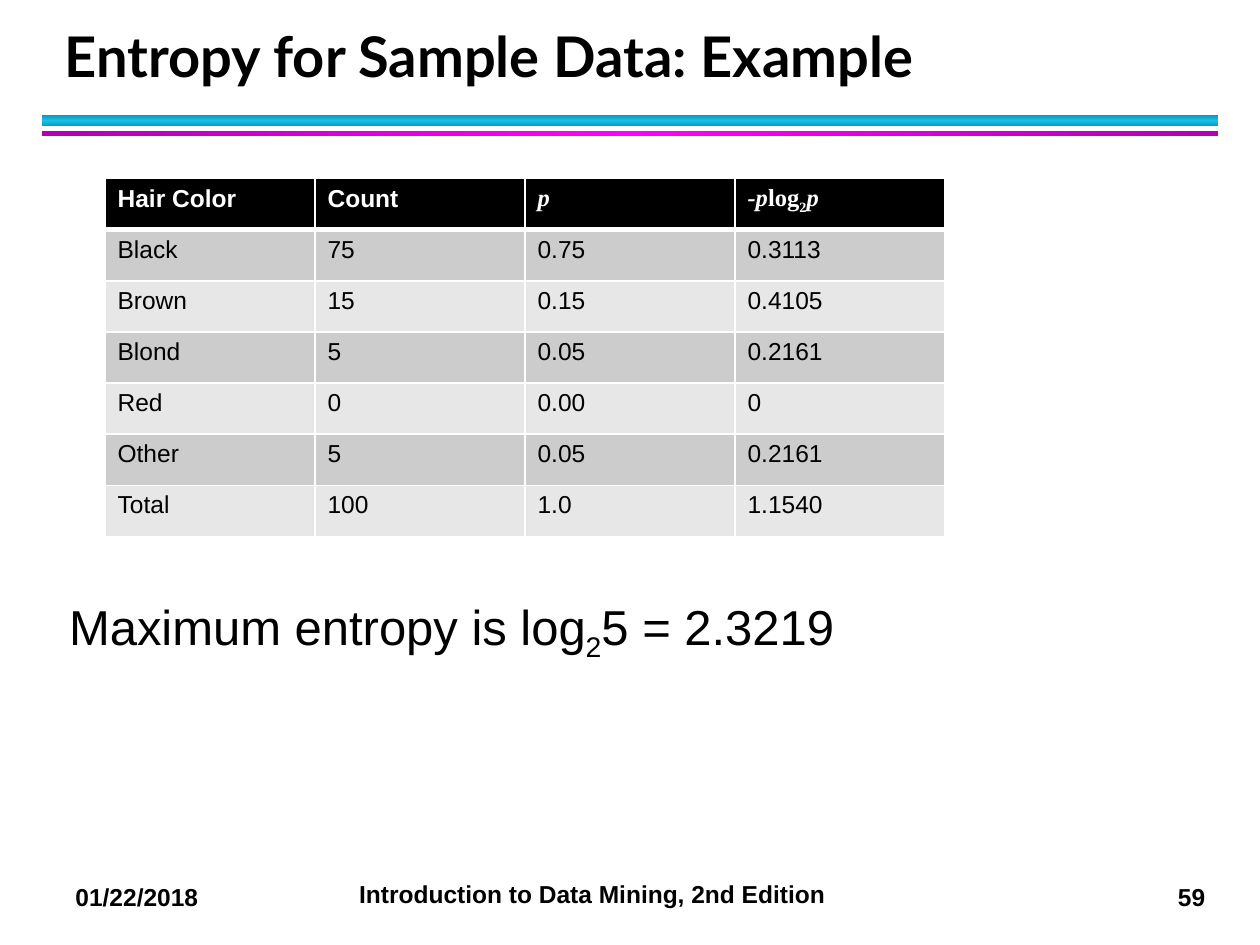
from copy import deepcopy
from lxml.etree import SubElement
from pptx import Presentation
from pptx.dml.color import RGBColor
from pptx.enum.shapes import MSO_SHAPE
from pptx.enum.text import MSO_ANCHOR
from pptx.oxml.ns import qn
from pptx.util import Inches, Pt

GRID_COLUMNS = 120
GRID_ROWS = 90
SLIDE_WIDTH = Inches(10)
SLIDE_HEIGHT = Inches(7.5)

BLACK = RGBColor(0x00, 0x00, 0x00)
WHITE = RGBColor(0xFF, 0xFF, 0xFF)
DARK_BAND = RGBColor(0xCC, 0xCC, 0xCC)
LIGHT_BAND = RGBColor(0xE7, 0xE7, 0xE7)
TEAL = RGBColor(0x0E, 0x9B, 0xBA)
CYAN = RGBColor(0x12, 0xC2, 0xE9)
PURPLE = RGBColor(0xB2, 0x00, 0xB2)
MAGENTA = RGBColor(0xFF, 0x00, 0xFF)

HEADINGS = [
    [("Hair Color", "")],
    [("Count", "")],
    [("p", "i")],
    [("-p", "i"), ("log", ""), ("2", "sub"), ("p", "i")],
]
HAIR_COUNTS = [
    ("Black", "75", "0.75", "0.3113"),
    ("Brown", "15", "0.15", "0.4105"),
    ("Blond", "5", "0.05", "0.2161"),
    ("Red", "0", "0.00", "0"),
    ("Other", "5", "0.05", "0.2161"),
    ("Total", "100", "1.0", "1.1540"),
]
MAXIMUM_ENTROPY = [("Maximum entropy is log", ""), ("2", "sub"), ("5 = 2.3219", "")]


def grid_box(column, row, columns, rows):
    cell_width = SLIDE_WIDTH / GRID_COLUMNS
    cell_height = SLIDE_HEIGHT / GRID_ROWS
    return (int(column * cell_width), int(row * cell_height),
            int(columns * cell_width), int(rows * cell_height))


def write(paragraph, pieces, size, color=BLACK, bold=False, name="Arial"):
    font = paragraph.font
    font.size, font.bold, font.name = Pt(size), bold, name
    font.color.rgb = color
    for words, style in pieces:
        run = paragraph.add_run()
        run.text = words
        if style == "i":
            run.font.italic = True
        elif style == "sub":
            run._r.get_or_add_rPr().set("baseline", "-25000")


def add_words(slide, box, pieces, size, wrap=True, **style):
    frame = slide.shapes.add_textbox(*box).text_frame
    frame.word_wrap = wrap
    write(frame.paragraphs[0], pieces, size, **style)
    return frame


def add_title(slide, box):
    frame = add_words(slide, box, [("Entropy for Sample Data: Example", "")], 32,
                      bold=True, name="Lato")
    frame.vertical_anchor = MSO_ANCHOR.BOTTOM
    frame.paragraphs[0].line_spacing = Pt(36)


def add_rule(slide, box, edge, middle, angle):
    rule = slide.shapes.add_shape(MSO_SHAPE.RECTANGLE, *box)
    rule.shadow.inherit = False
    rule.line.fill.background()
    rule.fill.gradient()
    rule.fill.gradient_angle = angle
    stop_list = rule._element.spPr.find(".//" + qn("a:gsLst"))
    stop_list.insert(1, deepcopy(stop_list[0]))
    for stop, position, color in zip(rule.fill.gradient_stops, (0, 0.5, 1),
                                     (edge, middle, edge)):
        stop.position = position
        stop.color.rgb = color


def add_rules(slide, box):
    left, top, width, height = box
    add_rule(slide, (left, top, width, height // 2), TEAL, CYAN, 90)
    add_rule(slide, (left, top + height * 3 // 4, width, height // 4),
             PURPLE, MAGENTA, 0)


def set_borders(cell, bottom_width):
    properties = cell._tc.get_or_add_tcPr()
    for side, width in (("L", 1), ("R", 1), ("T", 1), ("B", bottom_width)):
        border = SubElement(properties, qn(f"a:ln{side}"), w=str(Pt(width)))
        fill = SubElement(border, qn("a:solidFill"))
        SubElement(fill, qn("a:srgbClr"), val=str(WHITE))


def fill_cell(cell, pieces, background, bottom_width=1, **style):
    set_borders(cell, bottom_width)
    cell.fill.solid()
    cell.fill.fore_color.rgb = background
    write(cell.text_frame.paragraphs[0], pieces, 14, **style)


def add_hair_table(slide, box):
    table = slide.shapes.add_table(len(HAIR_COUNTS) + 1, len(HEADINGS), *box).table
    table.first_row = True
    table.horz_banding = True
    for index, heading in enumerate(HEADINGS):
        name = "Arial" if index < 2 else "Times New Roman"
        fill_cell(table.cell(0, index), heading, BLACK, 3,
                  color=WHITE, bold=True, name=name)
    for row, values in enumerate(HAIR_COUNTS, start=1):
        band = DARK_BAND if row % 2 else LIGHT_BAND
        for column, value in enumerate(values):
            fill_cell(table.cell(row, column), [(value, "")], band)


def add_footer(slide, box):
    left, top, width, height = box
    parts = [
        ("01/22/2018", 0, 0.07, 0.145, True),
        ("Introduction to Data Mining, 2nd Edition", 0.245, 0, 0.444, True),
        ("59", 0.952, 0.07, 0.048, False),
    ]
    for words, across, down, share, wrap in parts:
        place = (left + int(across * width), top + int(down * height),
                 int(share * width), int(0.83 * height))
        add_words(slide, place, [(words, "")], 14, wrap=wrap, bold=True)


def main():
    presentation = Presentation()
    presentation.slide_width = SLIDE_WIDTH
    presentation.slide_height = SLIDE_HEIGHT
    slide = presentation.slides.add_slide(presentation.slide_layouts[6])
    add_rules(slide, grid_box(4, 11, 112, 2))
    add_footer(slide, grid_box(6, 83.1, 110.3, 5))
    add_title(slide, grid_box(5, 2, 108.7, 7))
    add_words(slide, grid_box(5.4, 56.2, 109.2, 6.5), MAXIMUM_ENTROPY, 28)
    add_hair_table(slide, grid_box(10, 17, 80, 34.1))
    presentation.save("out.pptx")


if __name__ == "__main__":
    main()
